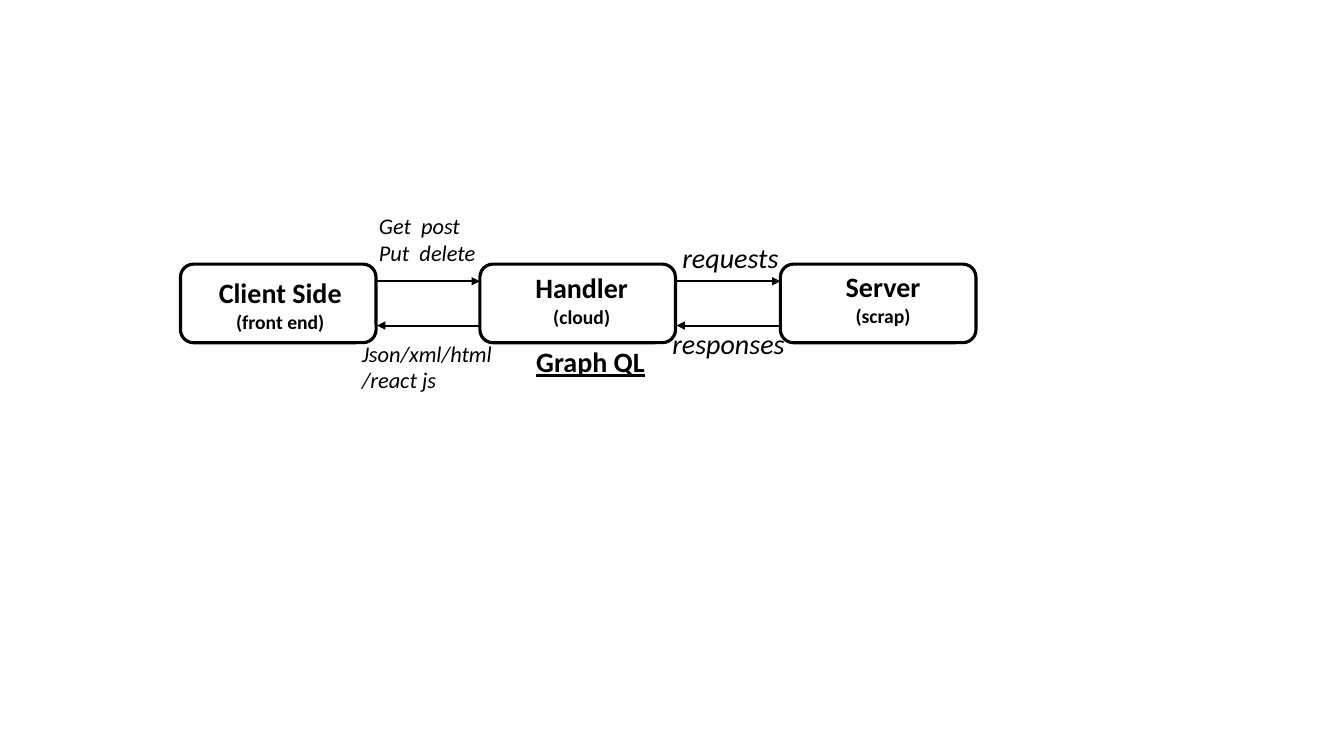
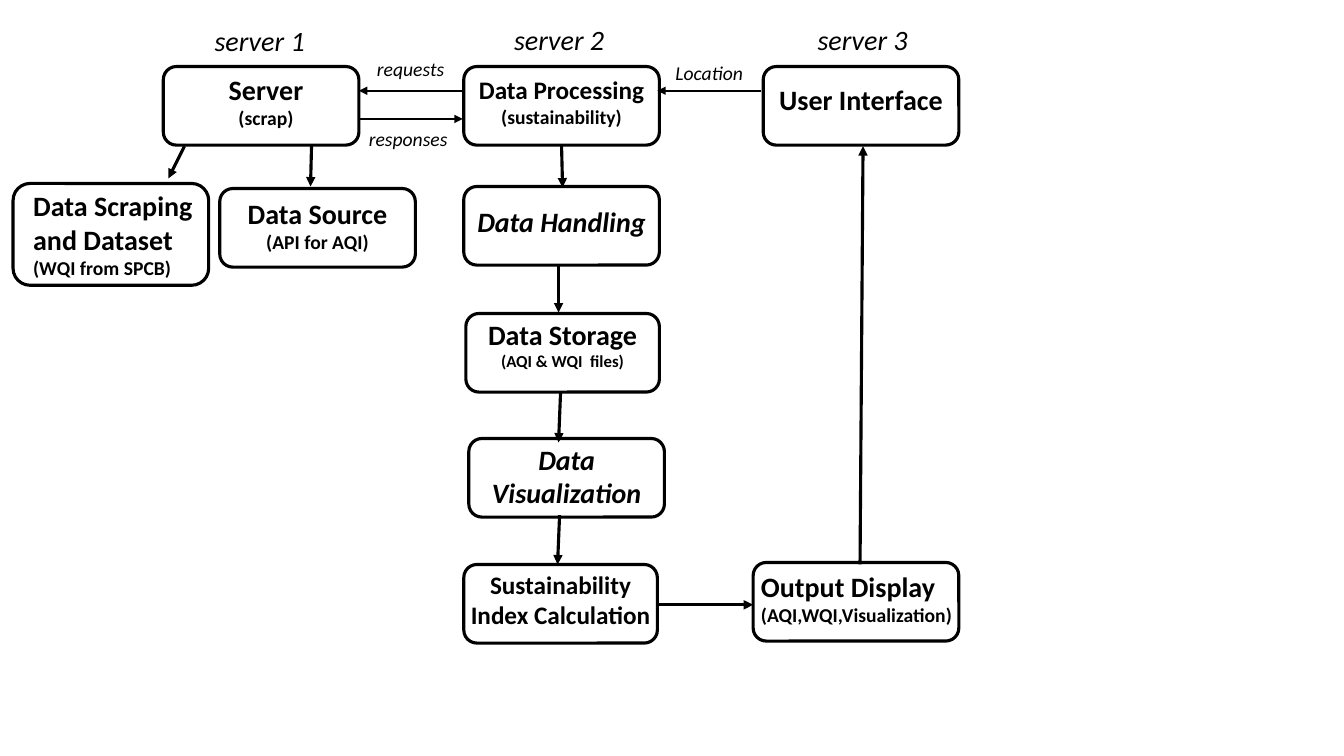
from dataclasses import dataclass

from lxml.etree import SubElement
from pptx import Presentation
from pptx.dml.color import RGBColor
from pptx.enum.shapes import MSO_CONNECTOR as Connector, MSO_SHAPE as Shape
from pptx.enum.text import MSO_ANCHOR as Anchor, PP_ALIGN as Align
from pptx.oxml.ns import qn
from pptx.slide import Slide
from pptx.text.text import TextFrame
from pptx.util import Inches, Pt

BLACK = RGBColor(0, 0, 0)
WHITE = RGBColor(255, 255, 255)
FONT = "Calibri"
THIN, THICK = 1.5, 2.25


@dataclass(frozen=True)
class Style:
    size: float
    bold: bool = False
    italic: bool = False
    underline: bool = False


TITLE = Style(20, bold=True)
SMALL_TITLE = Style(18, bold=True)
ITALIC_TITLE = Style(20, bold=True, italic=True)
NOTE = Style(14, bold=True)
SMALL_NOTE = Style(12, bold=True)
HEADING = Style(20, italic=True)
MESSAGE = Style(16, italic=True)
SMALL_MESSAGE = Style(14, italic=True)
UNDERLINED = Style(20, bold=True, underline=True)


@dataclass(frozen=True)
class Node:
    left: float
    top: float
    title: str
    note: str = ""
    width: float = 1.94
    height: float = 0.78
    pad_left: float = 0
    pad_top: float = 0
    align: Align = Align.CENTER
    title_style: Style = TITLE
    note_style: Style = NOTE


@dataclass(frozen=True)
class Label:
    left: float
    top: float
    lines: tuple[str, ...]
    style: Style
    width: float = 1.57


@dataclass(frozen=True)
class Arrow:
    start: tuple[float, float]
    end: tuple[float, float]
    weight: float = THICK


@dataclass(frozen=True)
class Diagram:
    nodes: list[Node]
    arrows: list[Arrow]
    labels: list[Label]


REQUEST_FLOW = Diagram(
    nodes=[
        Node(1.79, 2.62, "Client Side", "(front end)", pad_left=0.04, pad_top=0.08),
        Node(4.76, 2.62, "Handler", "(cloud)", pad_left=0.08, pad_top=0.03),
        Node(7.74, 2.62, "Server", "(scrap)", pad_left=0.1, pad_top=0.02),
    ],
    arrows=[
        Arrow((3.74, 2.79), (4.76, 2.79), THIN),
        Arrow((6.71, 2.79), (7.74, 2.79), THIN),
        Arrow((7.74, 3.23), (6.71, 3.23), THIN),
        Arrow((4.76, 3.23), (3.74, 3.23), THIN),
    ],
    labels=[
        Label(3.66, 2.06, ("Get  post", "Put  delete"), MESSAGE, 1.19),
        Label(3.49, 3.32, ("Json/xml/html", "/react js"), MESSAGE),
        Label(5.22, 3.37, ("Graph QL",), UNDERLINED),
        Label(6.67, 2.34, ("requests",), HEADING),
        Label(6.57, 3.19, ("responses",), HEADING),
    ],
)

DATA_PIPELINE = Diagram(
    nodes=[
        Node(1.62, 0.66, "Server", "(scrap)", pad_left=0.1, pad_top=0.02),
        Node(4.6, 0.66, "Data Processing", "(sustainability)", pad_top=0.04,
             title_style=SMALL_TITLE),
        Node(7.57, 0.66, "User Interface", pad_top=0.12),
        Node(0.13, 1.82, "Data Scraping and Dataset", "(WQI from SPCB)", height=1.01,
             pad_left=0.15, align=Align.LEFT),
        Node(2.18, 1.87, "Data Source", "(API for AQI)", pad_top=0.04),
        Node(4.6, 1.85, "Data Handling", pad_top=0.14, title_style=ITALIC_TITLE),
        Node(4.62, 3.11, "Data Storage", "(AQI & WQI  files)", width=1.92,
             note_style=SMALL_NOTE),
        Node(4.65, 4.35, "Data Visualization", title_style=ITALIC_TITLE),
        Node(4.6, 5.6, "Sustainability Index Calculation", width=1.92, pad_top=0.01,
             title_style=SMALL_TITLE),
        Node(7.47, 5.58, "Output Display", "(AQI,WQI,Visualization)", width=2.04,
             pad_left=0.04, pad_top=0.03, align=Align.LEFT),
    ],
    arrows=[
        Arrow((4.59, 0.9), (3.56, 0.9), THIN),
        Arrow((3.56, 1.18), (4.59, 1.18), THIN),
        Arrow((7.55, 0.9), (6.52, 0.9), THIN),
        Arrow((1.83, 1.45), (1.67, 1.77)),
        Arrow((3.09, 1.45), (3.08, 1.85)),
        Arrow((5.57, 1.45), (5.58, 1.86)),
        Arrow((5.54, 2.63), (5.54, 3.1)),
        Arrow((5.56, 3.89), (5.54, 4.39)),
        Arrow((5.55, 5.11), (5.53, 5.6)),
        Arrow((6.52, 6), (7.47, 6)),
        Arrow((8.53, 5.6), (8.56, 1.45)),
    ],
    labels=[
        Label(2.03, 0.18, ("server 1",), HEADING, 1.12),
        Label(5, 0.17, ("server 2",), HEADING, 1.12),
        Label(8.01, 0.17, ("server 3",), HEADING, 1.12),
        Label(3.64, 0.52, ("requests",), SMALL_MESSAGE),
        Label(3.56, 1.21, ("responses",), SMALL_MESSAGE),
        Label(6.6, 0.56, ("Location",), SMALL_MESSAGE, 1.19),
    ],
)


def write_lines(frame: TextFrame, lines: list[tuple[str, Style]], align: Align) -> None:
    frame.word_wrap = True
    frame.vertical_anchor = Anchor.TOP
    for index, (text, style) in enumerate(lines):
        para = frame.paragraphs[0] if index == 0 else frame.add_paragraph()
        para.alignment = align
        span = para.add_run()
        span.text = text
        font = span.font
        font.name = FONT
        font.size = Pt(style.size)
        font.bold = style.bold
        font.italic = style.italic
        font.underline = style.underline
        font.color.rgb = BLACK


def draw_node(page: Slide, node: Node) -> None:
    box = page.shapes.add_shape(
        Shape.ROUNDED_RECTANGLE,
        Inches(node.left), Inches(node.top), Inches(node.width), Inches(node.height),
    )
    box.shadow.inherit = False
    box.fill.solid()
    box.fill.fore_color.rgb = WHITE
    box.line.color.rgb = BLACK
    box.line.width = Pt(THICK)
    frame = box.text_frame
    frame.margin_left = Inches(node.pad_left)
    frame.margin_top = Inches(node.pad_top)
    frame.margin_right = frame.margin_bottom = Inches(0)
    lines = [(node.title, node.title_style)]
    if node.note:
        lines.append((node.note, node.note_style))
    write_lines(frame, lines, node.align)


def draw_arrow(page: Slide, arrow: Arrow) -> None:
    points = [Inches(value) for value in (*arrow.start, *arrow.end)]
    connector = page.shapes.add_connector(Connector.STRAIGHT, *points)
    connector.line.color.rgb = BLACK
    connector.line.width = Pt(arrow.weight)
    properties = connector.element.spPr
    SubElement(properties.find(qn("a:ln")), qn("a:tailEnd"), type="triangle")
    SubElement(properties, qn("a:effectLst"))


def draw_label(page: Slide, label: Label) -> None:
    height = 0.1 + len(label.lines) * label.style.size * 1.2 / 72
    box = page.shapes.add_textbox(
        Inches(label.left), Inches(label.top), Inches(label.width), Inches(height)
    )
    write_lines(box.text_frame, [(line, label.style) for line in label.lines], Align.LEFT)


def draw_diagram(page: Slide, diagram: Diagram) -> None:
    for node in diagram.nodes:
        draw_node(page, node)
    for arrow in diagram.arrows:
        draw_arrow(page, arrow)
    for label in diagram.labels:
        draw_label(page, label)


def main() -> None:
    deck = Presentation()
    deck.slide_width = Inches(13.33)
    deck.slide_height = Inches(7.5)
    blank = deck.slide_layouts[6]
    for diagram in (REQUEST_FLOW, DATA_PIPELINE):
        draw_diagram(deck.slides.add_slide(blank), diagram)
    deck.save("out.pptx")


if __name__ == "__main__":
    main()
